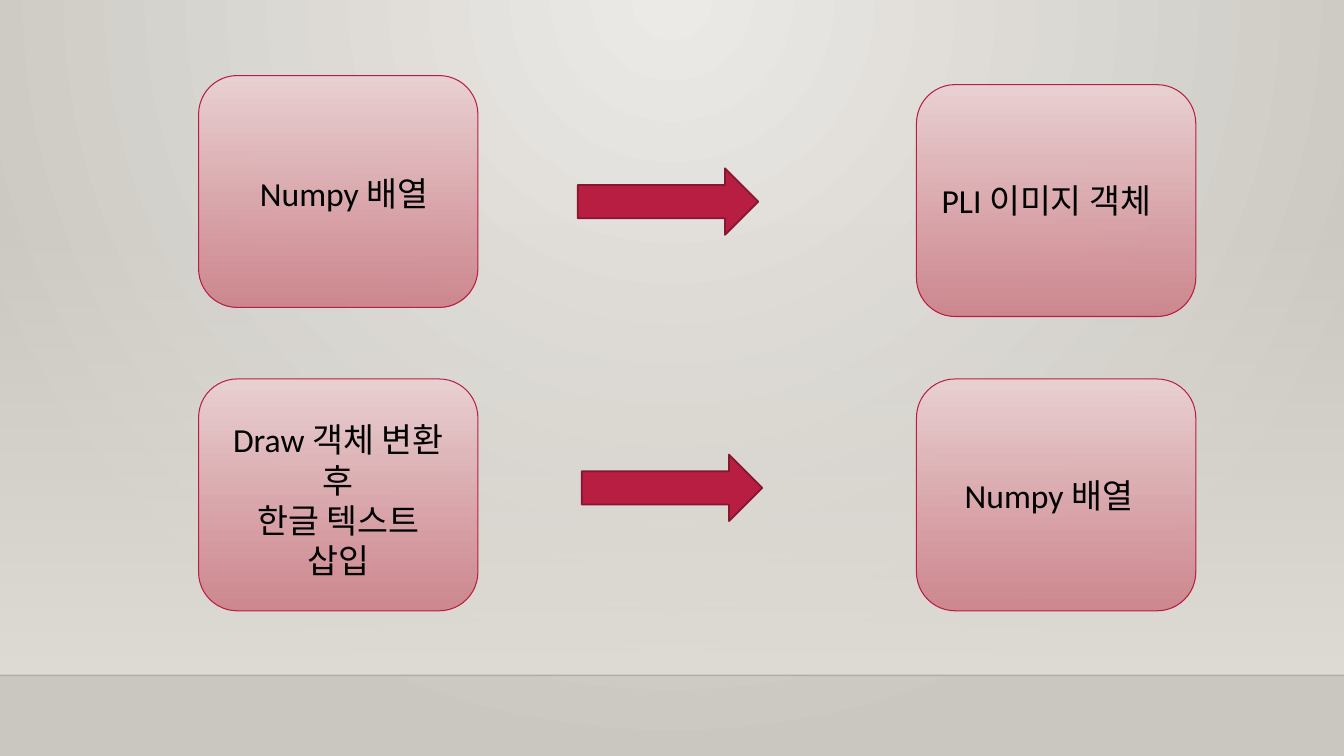
from lxml import etree
from pptx import Presentation
from pptx.dml.color import RGBColor
from pptx.enum import shapes as sh, text as tx
from pptx.oxml.ns import qn
from pptx.util import Inches, Pt


def rgb(value):
    return RGBColor.from_string(value)


def paint_gradient(fill, element, colors, opacities=(100, 100)):
    """Top-to-bottom gradient; opacities are percentages per stop."""
    fill.gradient()
    fill.gradient_angle = 270
    for stop, color in zip(fill.gradient_stops, colors):
        stop.color.rgb = rgb(color)
    for node, opacity in zip(element.xpath(".//a:gs/a:srgbClr"), opacities):
        if opacity < 100:
            etree.SubElement(node, qn("a:alpha")).set("val", str(opacity * 1000))


prs = Presentation()
prs.slide_width, prs.slide_height = Inches(13.33), Inches(7.5)
slide = prs.slides.add_slide(prs.slide_layouts[6])

# Backdrop: light from the top centre, a haze above the floor line
paint_gradient(slide.background.fill, slide.element, ("ECEAE7", "CAC7C1"))
linear = slide.element.xpath(".//p:bgPr//a:lin")[0]
radial = etree.Element(qn("a:path"), {"path": "circle"})
etree.SubElement(radial, qn("a:fillToRect"),
                 {"l": "43000", "t": "0", "r": "43000", "b": "100000"})
linear.getparent().replace(linear, radial)

haze = slide.shapes.add_shape(sh.MSO_SHAPE.RECTANGLE, 0, Inches(2.21),
                              prs.slide_width, Inches(4.49))
haze.shadow.inherit = False
haze.line.fill.background()
paint_gradient(haze.fill, haze.element, ("DFDBD5", "DFDBD5"), (0, 100))

floor_y = Inches(6.7)
floor = slide.shapes.add_connector(sh.MSO_CONNECTOR.STRAIGHT, 0, floor_y,
                                   prs.slide_width, floor_y)
floor.line.width = Pt(1)
floor.line.color.rgb = rgb("000001")
floor_color = floor.element.xpath(".//a:ln//a:srgbClr")[0]
etree.SubElement(floor_color, qn("a:alpha")).set("val", "20000")
etree.SubElement(floor.element.spPr, qn("a:effectLst"))

# Conversion steps: card position, label box, label lines, alignment
LEFT, CENTER = tx.PP_ALIGN.LEFT, tx.PP_ALIGN.CENTER
steps = [
    (1.97, 0.75, (2.48, 1.67, 2.16, 0.5), "Numpy 배열", LEFT),
    (9.09, 0.84, (9.24, 1.74, 2.61, 0.5), "PLI 이미지 객체", LEFT),
    (1.97, 3.76, (1.97, 4.11, 2.77, 1.72), "Draw 객체 변환\n후\n한글 텍스트\n삽입", CENTER),
    (9.09, 3.76, (9.47, 4.66, 2.16, 0.5), "Numpy 배열", LEFT),
]
for x, y, label_box, wording, alignment in steps:
    card = slide.shapes.add_shape(sh.MSO_SHAPE.ROUNDED_RECTANGLE, Inches(x), Inches(y),
                                  Inches(2.77), Inches(2.3))
    card.shadow.inherit = False
    paint_gradient(card.fill, card.element, ("EAD1D3", "CD828A"), (100, 92))
    card.line.color.rgb = rgb("B71E42")
    card.line.width = Pt(0.75)

    label = slide.shapes.add_textbox(*map(Inches, label_box)).text_frame
    label.word_wrap = True
    label.auto_size = tx.MSO_AUTO_SIZE.SHAPE_TO_FIT_TEXT
    label.text = wording
    for paragraph in label.paragraphs:
        paragraph.alignment = alignment
        for run in paragraph.runs:
            run.font.name = "Calibri"
            run.font.size = Pt(24)
            run.font.color.rgb = rgb("000000")

for x, y in ((5.73, 1.67), (5.77, 4.51)):
    arrow = slide.shapes.add_shape(sh.MSO_SHAPE.RIGHT_ARROW, Inches(x), Inches(y),
                                   Inches(1.79), Inches(0.66))
    arrow.shadow.inherit = False
    arrow.fill.solid()
    arrow.fill.fore_color.rgb = rgb("B71E42")
    arrow.line.color.rgb = rgb("871631")
    arrow.line.width = Pt(1.25)

prs.save("out.pptx")
